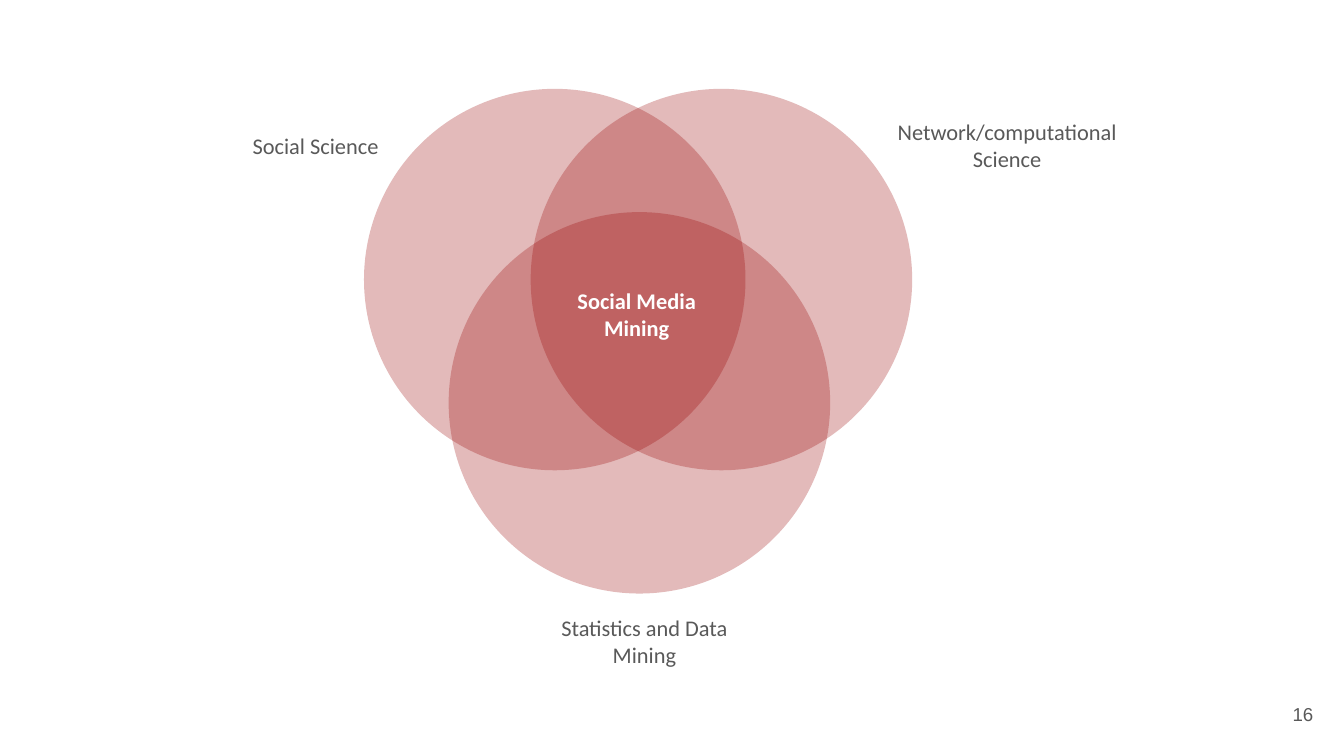
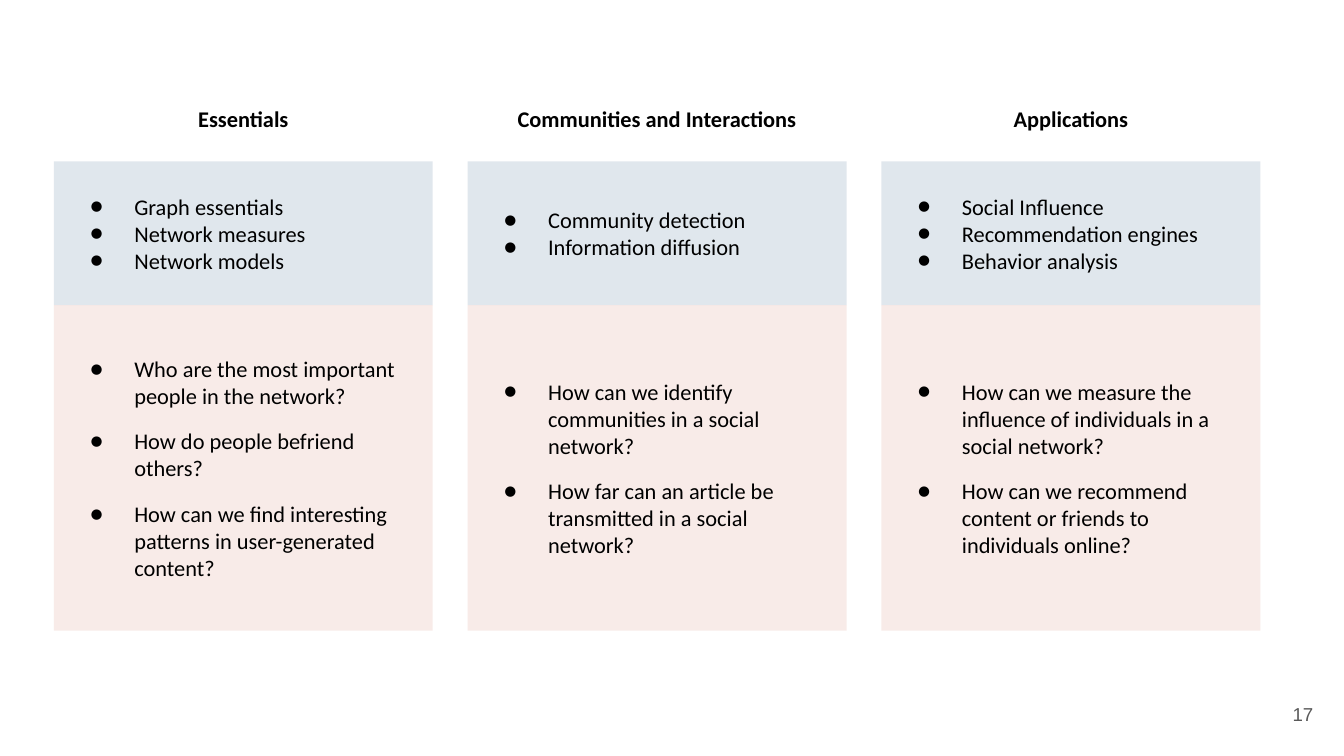
from lxml.etree import SubElement
from pptx import Presentation
from pptx.dml.color import RGBColor
from pptx.enum.shapes import MSO_SHAPE
from pptx.enum.text import MSO_ANCHOR, PP_ALIGN
from pptx.oxml.ns import qn
from pptx.util import Cm, Pt

COLORS = {
    "circle": "980000",
    "topics": "003B71",
    "questions": "E6B8AF",
    "label": "595959",
    "text": "000000",
    "white": "FFFFFF",
}
FRAME = {
    "word_wrap": True,
    "vertical_anchor": MSO_ANCHOR.MIDDLE,
    "margin_left": Cm(0.25),
    "margin_top": Cm(0.25),
    "margin_right": Cm(0.25),
    "margin_bottom": Cm(0.25),
}
BODY = {"name": "Calibri", "size": Pt(12), "bold": False}
BOLD = {**BODY, "bold": True}
NUMBER = {**BODY, "name": "Arial", "size": Pt(10)}
HEADING = {"line_spacing": 1.15, "space_after": Pt(10)}


def apply_format(target, values):
    for name, value in values.items():
        setattr(target, name, value)


class Deck:
    def __init__(self):
        self.presentation = Presentation()
        self.presentation.slide_width = Cm(25.4)
        self.presentation.slide_height = Cm(14.29)
        self.slide = None

    def add_slide(self, number):
        layout = self.presentation.slide_layouts[6]
        self.slide = self.presentation.slides.add_slide(layout)
        self.label(str(number), (23.55, 12.95, 1.52, 1.09),
                   font=NUMBER, align=PP_ALIGN.RIGHT)

    def styled_run(self, paragraph, text, font, color):
        run = paragraph.add_run()
        run.text = text
        apply_format(run.font, font)
        run.font.color.rgb = RGBColor.from_string(COLORS[color])

    def label(self, text, place, font=BODY, color="label",
              align=PP_ALIGN.CENTER, spacing=None):
        box = self.slide.shapes.add_textbox(*map(Cm, place))
        apply_format(box.text_frame, FRAME)
        paragraph = box.text_frame.paragraphs[0]
        apply_format(paragraph, {"alignment": align, **(spacing or {})})
        self.styled_run(paragraph, text, font, color)

    def tinted(self, kind, place, color, opacity):
        shape = self.slide.shapes.add_shape(kind, *map(Cm, place))
        shape.shadow.inherit = False
        shape.line.fill.background()
        shape.fill.solid()
        shape.fill.fore_color.rgb = RGBColor.from_string(COLORS[color])
        tint = shape.fill._xPr.find(".//" + qn("a:srgbClr"))
        SubElement(tint, qn("a:alpha"), val=str(opacity * 1000))
        return shape

    def bullet(self, paragraph):
        properties = paragraph._p.get_or_add_pPr()
        properties.set("marL", str(Cm(1.27)))
        properties.set("indent", str(-Cm(0.84)))
        bullet_color = SubElement(properties, qn("a:buClr"))
        SubElement(bullet_color, qn("a:srgbClr"), val=COLORS["text"])
        SubElement(properties, qn("a:buFont"), typeface="Calibri")
        SubElement(properties, qn("a:buChar"), char="●")

    def bullet_panel(self, items, place, color, opacity, gap=0):
        frame = self.tinted(MSO_SHAPE.RECTANGLE, place, color, opacity).text_frame
        apply_format(frame, FRAME)
        for index, item in enumerate(items):
            paragraph = frame.add_paragraph() if index else frame.paragraphs[0]
            self.bullet(paragraph)
            paragraph.alignment = PP_ALIGN.LEFT
            if gap and index:
                paragraph.space_before = Pt(gap)
            if gap and index == len(items) - 1:
                paragraph.space_after = Pt(gap)
            self.styled_run(paragraph, item, BODY, "text")


def venn_slide(deck):
    deck.add_slide(16)

    # Three overlapping fields
    diameter = 7.21
    for left, top in ((6.88, 1.68), (10.03, 1.68), (8.48, 4.01)):
        deck.tinted(MSO_SHAPE.OVAL, (left, top, diameter, diameter), "circle", 27)

    # Field names and the shared centre
    deck.label("Social Science", (4.34, 2.29, 3.25, 0.91))
    deck.label("Network/computational Science", (16.61, 2.29, 4.85, 0.91))
    deck.label("Statistics and Data Mining", (10.26, 11.66, 3.84, 0.91))
    deck.label("Social Media Mining", (10.41, 5.33, 3.25, 1.22), BOLD, "white")


def topics_slide(deck):
    deck.add_slide(17)
    columns = [
        ("Essentials",
         ["Graph essentials", "Network measures", "Network models"],
         ["Who are the most important people in the network?",
          "How do people befriend others?",
          "How can we find interesting patterns in user-generated content?"]),
        ("Communities and Interactions",
         ["Community detection", "Information diffusion"],
         ["How can we identify communities in a social network?",
          "How far can an article be transmitted in a social network?"]),
        ("Applications",
         ["Social Influence", "Recommendation engines", "Behavior analysis"],
         ["How can we measure the influence of individuals in a social network?",
          "How can we recommend content or friends to individuals online?"]),
    ]

    # One column per part: heading, topics, questions
    first_left, step, width = 1.02, 7.82, 7.16
    for index, (heading, topics, questions) in enumerate(columns):
        left = first_left + index * step
        deck.label(heading, (left, 1.7, width, 1.02), BOLD, "text", spacing=HEADING)
        deck.bullet_panel(topics, (left, 3.05, width, 2.72), "topics", 12)
        deck.bullet_panel(questions, (left, 5.77, width, 6.15),
                          "questions", 28, gap=10)


def main():
    deck = Deck()
    venn_slide(deck)
    topics_slide(deck)
    deck.presentation.save("out.pptx")


if __name__ == "__main__":
    main()
